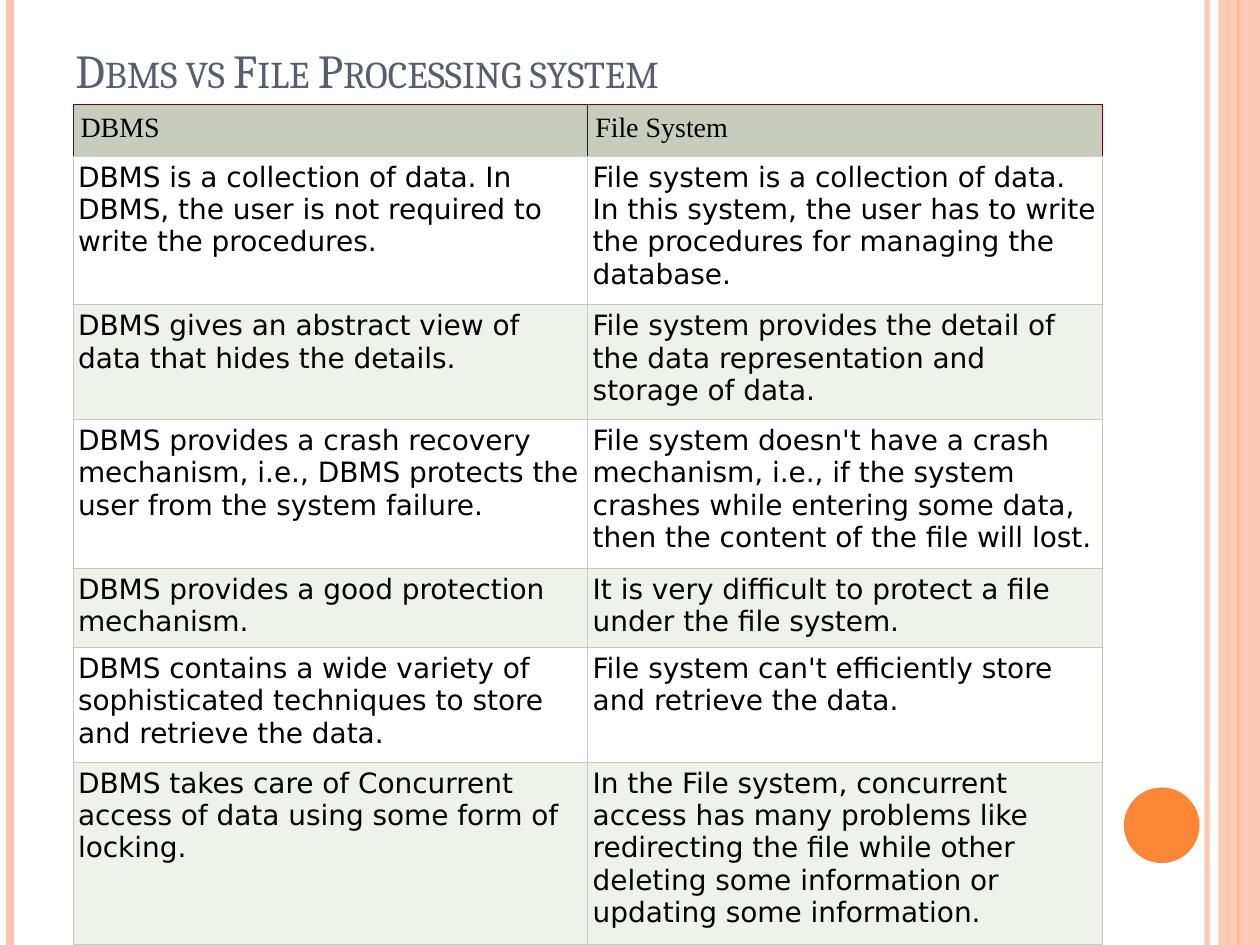
from lxml.etree import SubElement
from pptx import Presentation
from pptx.dml.color import RGBColor
from pptx.enum.shapes import MSO_CONNECTOR, MSO_SHAPE
from pptx.enum.text import MSO_ANCHOR
from pptx.oxml import parse_xml
from pptx.oxml.ns import nsdecls, qn
from pptx.util import Inches, Pt

PEACH, ORANGE, SLATE = "FEC3AE", "FE8637", "575F6D"
SAGE, PALE_SAGE, WHITE, MAROON, BLACK = "C7CCBE", "EFF1EB", "FFFFFF", "600714", "000000"

ROW_HEIGHTS = [0.41, 1.18, 0.91, 1.18, 0.63, 0.91, 1.45]
COMPARISON = [
    ("DBMS", "File System"),
    ("DBMS is a collection of data. In DBMS, the user is not required to write the procedures.",
     "File system is a collection of data. In this system, the user has to write the procedures "
     "for managing the database."),
    ("DBMS gives an abstract view of data that hides the details.",
     "File system provides the detail of the data representation and storage of data."),
    ("DBMS provides a crash recovery mechanism, i.e., DBMS protects the user from the system failure.",
     "File system doesn't have a crash mechanism, i.e., if the system crashes while entering some "
     "data, then the content of the file will lost."),
    ("DBMS provides a good protection mechanism.",
     "It is very difficult to protect a file under the file system."),
    ("DBMS contains a wide variety of sophisticated techniques to store and retrieve the data.",
     "File system can't efficiently store and retrieve the data."),
    ("DBMS takes care of Concurrent access of data using some form of locking.",
     "In the File system, concurrent access has many problems like redirecting the file while "
     "other deleting some information or updating some information."),
]


def color(value):
    """Return the colour for a hex string."""
    return RGBColor.from_string(value)


def set_alpha(color_parent, percent):
    """Make the solid colour inside an element partly transparent."""
    color_element = color_parent.find(".//" + qn("a:srgbClr"))
    SubElement(color_element, qn("a:alpha")).set("val", str(percent * 1000))


def add_stripe(slide, x, top, height, line_color, width, opacity=100):
    """Draw one vertical line."""
    stripe = slide.shapes.add_connector(
        MSO_CONNECTOR.STRAIGHT, Inches(x), Inches(top), Inches(x), Inches(top + height))
    stripe.line.color.rgb = color(line_color)
    stripe.line.width = Pt(width)
    properties = stripe._element.spPr
    if opacity < 100:
        set_alpha(properties, opacity)
    SubElement(properties, qn("a:effectLst"))


def add_solid(slide, kind, box, fill_color, opacity=100):
    """Draw one filled shape without outline."""
    shape = slide.shapes.add_shape(kind, *map(Inches, box))
    shape.shadow.inherit = False
    shape.fill.solid()
    shape.fill.fore_color.rgb = color(fill_color)
    shape.line.fill.background()
    if opacity < 100:
        set_alpha(shape._element.spPr, opacity)


def add_decoration(slide, left, top, width, height):
    """Draw the side stripes, the right band and the disc."""
    right = left + width
    add_stripe(slide, right - 0.42, top, height, PEACH, 3, 93)
    add_stripe(slide, left + 0.08, top, height, PEACH, 4.5)
    add_stripe(slide, right - 0.25, top, height, ORANGE, 0.75)
    add_solid(slide, MSO_SHAPE.RECTANGLE, (right - 0.33, top, 0.33, height), PEACH, 87)
    add_stripe(slide, right - 0.17, top, height, ORANGE, 0.75, 40)
    add_solid(slide, MSO_SHAPE.OVAL, (right - 1.08, top + height - 1.25, 0.6, 0.6), ORANGE)


def add_title(slide, left, top, width, height):
    """Write the title in small capitals."""
    title = slide.shapes.add_textbox(Inches(left), Inches(top), Inches(width), Inches(height))
    frame = title.text_frame
    frame.word_wrap = True
    frame.vertical_anchor = MSO_ANCHOR.BOTTOM
    paragraph = frame.paragraphs[0]
    run = paragraph.add_run()
    run.text = "Dbms vs File Processing system"
    run.font.name = "Cambria"
    run.font.size = Pt(27)
    run.font.color.rgb = color(SLATE)
    run.font._element.set("cap", "small")


def set_borders(cell, side_color, top_color):
    """Outline a cell, with a sage line below it."""
    properties = cell._tc.get_or_add_tcPr()
    sides = {"lnL": side_color, "lnR": side_color, "lnT": top_color, "lnB": SAGE}
    for index, (tag, line_color) in enumerate(sides.items()):
        properties.insert(index, parse_xml(
            f'<a:{tag} {nsdecls("a")} w="{Pt(0.75)}"><a:solidFill>'
            f'<a:srgbClr val="{line_color}"/></a:solidFill></a:{tag}>'))


def fill_cell(cell, text, row_index):
    """Write and style one cell according to its row."""
    header = row_index == 0
    cell.text = text
    cell.margin_left = cell.margin_right = Inches(0.06 if header else 0.04)
    cell.margin_top = cell.margin_bottom = cell.margin_left
    paragraph = cell.text_frame.paragraphs[0]
    paragraph.font.name = "Times New Roman" if header else "DejaVu Sans"
    paragraph.font.size = Pt(16)
    paragraph.font.bold = False
    paragraph.font.color.rgb = color(BLACK)
    cell.fill.solid()
    cell.fill.fore_color.rgb = color(SAGE if header else WHITE if row_index % 2 else PALE_SAGE)
    border = MAROON if header else SAGE
    set_borders(cell, border, border)


def add_comparison(slide, left, top, width, height):
    """Build the two-column comparison table."""
    table = slide.shapes.add_table(
        len(COMPARISON), 2, Inches(left), Inches(top), Inches(width), Inches(height)).table
    for column in table.columns:
        column.width = Inches(width / 2)
    for row_index, (row, texts) in enumerate(zip(table.rows, COMPARISON)):
        row.height = Inches(ROW_HEIGHTS[row_index])
        for cell, text in zip(row.cells, texts):
            fill_cell(cell, text, row_index)


def main():
    """Build and save the slide."""
    presentation = Presentation()
    presentation.slide_width = Inches(10)
    presentation.slide_height = Inches(7.5)
    slide = presentation.slides.add_slide(presentation.slide_layouts[6])
    add_decoration(slide, 0, 0, 10, 7.5)
    add_title(slide, 0.5, 0.3, 8.17, 0.53)
    add_comparison(slide, 0.58, 0.83, 8.17, 6.67)
    presentation.save("out.pptx")


if __name__ == "__main__":
    main()
